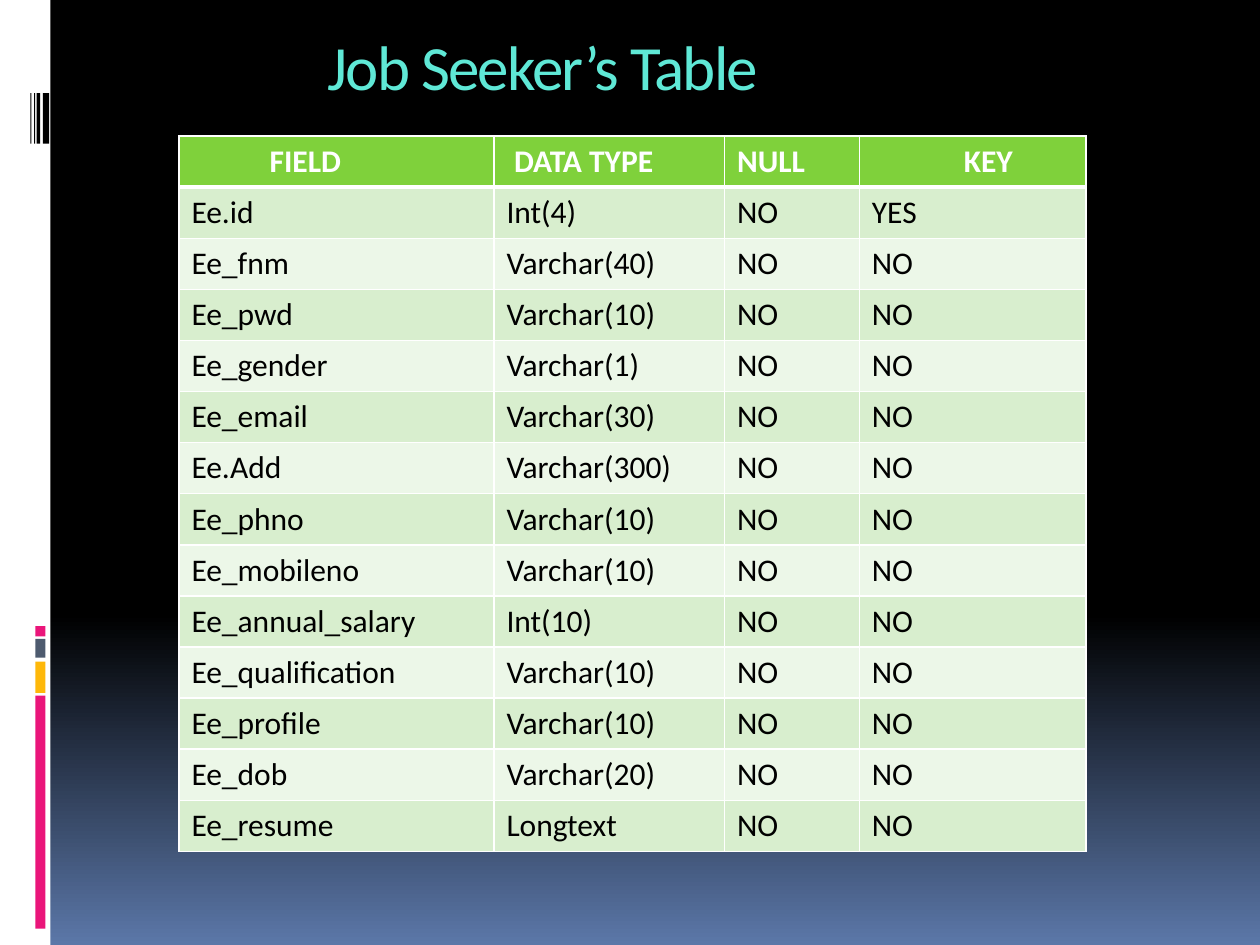
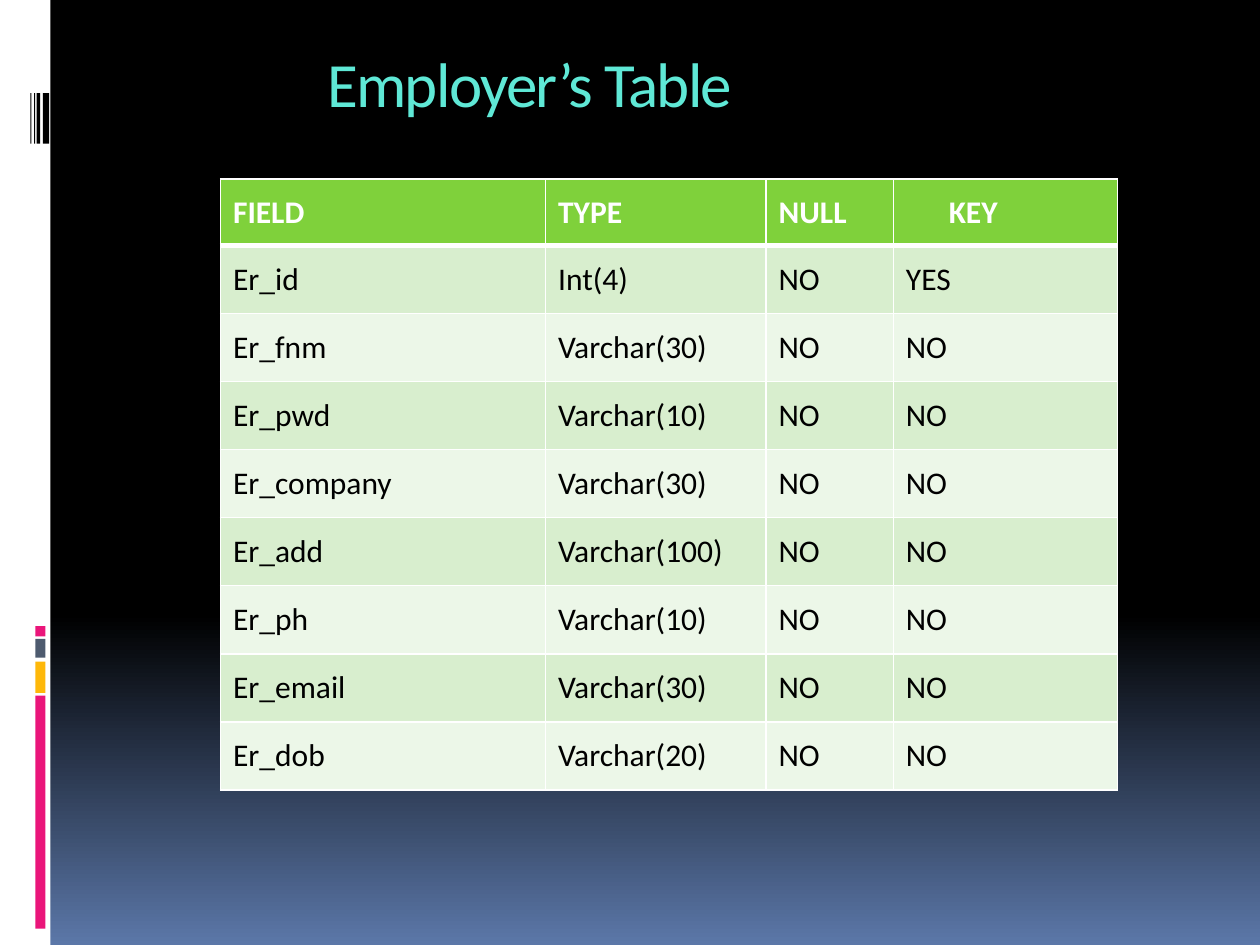
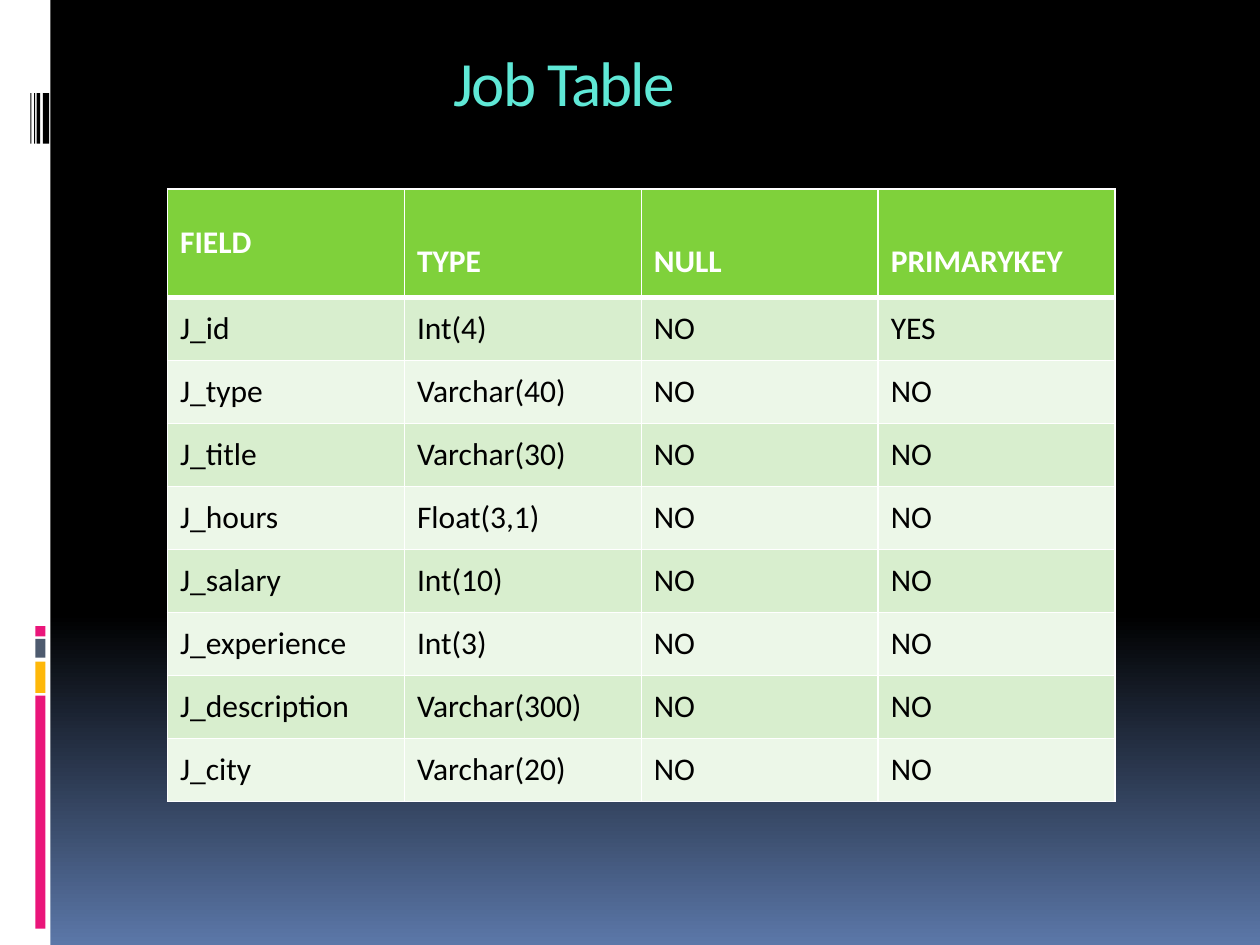
from copy import deepcopy

from lxml import etree
from pptx import Presentation
from pptx.dml.color import RGBColor
from pptx.enum.shapes import MSO_SHAPE
from pptx.enum.text import MSO_ANCHOR
from pptx.oxml.ns import qn
from pptx.util import Inches, Pt

RECT = MSO_SHAPE.RECTANGLE
TOP, MIDDLE = MSO_ANCHOR.TOP, MSO_ANCHOR.MIDDLE

WIDTH, HEIGHT = Inches(10), Inches(7.5)
CELL = WIDTH // 10
WHITE, BLACK, PINK, AMBER, SLATE = "FFFFFF", "000000", "EA157A", "FEB80A", "4E5B6F"
GREEN, BANDS = "7FD13B", ("D8EECE", "ECF7E8")
BACKGROUND = ((0, BLACK), (0.65, BLACK), (1, "5B77A8"))
TITLE = {"name": "Calibri", "size": Pt(36), "color": "5FE8D6"}
HEAD = {"name": "Calibri", "size": Pt(18), "color": WHITE, "bold": True}
BODY = {"name": "Calibri", "size": Pt(18), "color": BLACK, "bold": False}

COLOR_BARS = ((5.52, 1.85, PINK), (5.25, 0.25, AMBER), (5.07, 0.15, SLATE), (4.97, 0.08, PINK))
BARCODE = ((0.34, 0.05), (0.29, 0.03), (0.27, 0.01), (0.24, 0.01))

SEEKER_FIELDS = (
    ("Ee.id", "Int(4)"), ("Ee_fnm", "Varchar(40)"), ("Ee_pwd", "Varchar(10)"),
    ("Ee_gender", "Varchar(1)"), ("Ee_email", "Varchar(30)"), ("Ee.Add", "Varchar(300)"),
    ("Ee_phno", "Varchar(10)"), ("Ee_mobileno", "Varchar(10)"),
    ("Ee_annual_salary", "Int(10)"), ("Ee_qualification", "Varchar(10)"),
    ("Ee_profile", "Varchar(10)"), ("Ee_dob", "Varchar(20)"), ("Ee_resume", "Longtext"),
)
EMPLOYER_FIELDS = (
    ("Er_id", "Int(4)"), ("Er_fnm", "Varchar(30)"), ("Er_pwd", "Varchar(10)"),
    ("Er_company", "Varchar(30)"), ("Er_add", "Varchar(100)"), ("Er_ph", "Varchar(10)"),
    ("Er_email", "Varchar(30)"), ("Er_dob", "Varchar(20)"),
)
JOB_FIELDS = (
    ("J_id", "Int(4)"), ("J_type", "Varchar(40)"), ("J_title", "Varchar(30)"),
    ("J_hours", "Float(3,1)"), ("J_salary", "Int(10)"), ("J_experience", "Int(3)"),
    ("J_description", "Varchar(300)"), ("J_city", "Varchar(20)"),
)


def grid(n):
    """Return the length of n grid cells."""
    return round(n * CELL)


def rgb(value):
    """Return the colour of a hex string."""
    return RGBColor.from_string(value)


def write(tf, text, style, indent=0):
    """Write one styled paragraph, indented by grid cells."""
    p = tf.paragraphs[0]
    if indent:
        p._p.get_or_add_pPr().set("marL", str(grid(indent)))
    r = p.add_run()
    r.text = text
    for name, value in style.items():
        if name == "color":
            r.font.color.rgb = rgb(value)
        else:
            setattr(r.font, name, value)
    return r


def set_background(master):
    """Give the master its vertical gradient."""
    fill = master.background.fill
    fill.gradient()
    fill.gradient_angle = 270
    stops = master.element.find(".//" + qn("a:gsLst"))
    stops.insert(0, deepcopy(stops[0]))
    for stop, (position, color) in zip(fill.gradient_stops, BACKGROUND):
        stop.position = position
        stop.color.rgb = rgb(color)


def add_bar(slide, x, y, w, h, color):
    """Add a plain filled rectangle."""
    sp = slide.shapes.add_shape(RECT, *map(grid, (x, y, w, h)))
    sp.shadow.inherit = False
    sp.fill.solid()
    sp.fill.fore_color.rgb = rgb(color)
    sp.line.fill.background()


def add_side_band(slide):
    """Add the white band with its colour bars and barcode."""
    add_bar(slide, 0, 0, 0.4, 7.5, WHITE)
    for y, h, color in COLOR_BARS:
        add_bar(slide, 0.28, y, 0.08, h, color)
    for x, w in BARCODE:
        add_bar(slide, x, 0.74, w, 0.4, BLACK)


def add_title(slide, text, y, h, indent):
    """Add the slide title with tight letter spacing."""
    tf = slide.shapes.add_textbox(*map(grid, (0.5, y, 9, h))).text_frame
    tf.word_wrap = True
    tf.vertical_anchor = TOP
    write(tf, text, TITLE, indent)._r.get_or_add_rPr().set("spc", "-100")


def set_borders(cell, top, bottom):
    """Draw white borders, with the top and bottom widths in points."""
    tc_pr = cell._tc.get_or_add_tcPr()
    for i, (side, width) in enumerate((("L", 1), ("R", 1), ("T", top), ("B", bottom))):
        ln = etree.Element(qn("a:ln" + side), w=str(Pt(width)))
        fill = etree.SubElement(ln, qn("a:solidFill"))
        etree.SubElement(fill, qn("a:srgbClr"), val=WHITE)
        tc_pr.insert(i, ln)


def fill_cell(cell, text, style, color, indent=0, top=1, bottom=1):
    """Fill one table cell with text, colour and borders."""
    cell.vertical_anchor = MIDDLE
    cell.fill.solid()
    cell.fill.fore_color.rgb = rgb(color)
    write(cell.text_frame, text, style, indent)
    set_borders(cell, top, bottom)


def add_field_table(slide, x, y, widths, head_h, row_h, heads, fields, indents=(0,) * 4, drops=(0,) * 4):
    """Add a table of fields whose first field is the key."""
    n = len(fields) + 1
    size = sum(widths), head_h + row_h * len(fields)
    table = slide.shapes.add_table(n, len(widths), *map(grid, (x, y, *size))).table
    for column, w in zip(table.columns, widths):
        column.width = grid(w)
    for i, row in enumerate(table.rows):
        row.height = grid(row_h if i else head_h)
    for j, (text, indent, drop) in enumerate(zip(heads, indents, drops)):
        cell = table.cell(0, j)
        fill_cell(cell, text, HEAD, GREEN, indent, bottom=3)
        cell.margin_top = grid(0.05 + drop)
    for i, field in enumerate(fields):
        for j, text in enumerate((*field, "NO", "NO" if i else "YES")):
            fill_cell(table.cell(i + 1, j), text, BODY, BANDS[i % 2], top=1 if i else 3)


def add_slide(prs, title, title_y, title_h, indent):
    """Add a blank slide with the side band and a title."""
    slide = prs.slides.add_slide(prs.slide_layouts[6])
    add_side_band(slide)
    add_title(slide, title, title_y, title_h, indent)
    return slide


def main():
    """Build the three slides and save them."""
    prs = Presentation()
    prs.slide_width, prs.slide_height = WIDTH, HEIGHT
    set_background(prs.slide_master)

    slide = add_slide(prs, "Job Seeker’s Table", 0.17, 0.78, 2)
    add_field_table(slide, 1.42, 1.08, (2.5, 1.83, 1.07, 1.8), 5.68 / 14, 5.68 / 14,
                    ("FIELD", "DATA TYPE", "NULL", "KEY"), SEEKER_FIELDS,
                    indents=(0.62, 0.06, 0, 0.73))

    slide = add_slide(prs, "Employer’s Table", 0.3, 0.62, 2)
    add_field_table(slide, 1.75, 1.42, (2.58, 1.75, 1.01, 1.78), 0.53, 0.54,
                    ("FIELD", "TYPE", "NULL", "KEY"), EMPLOYER_FIELDS,
                    indents=(0, 0, 0, 0.34))

    slide = add_slide(prs, "Job Table", 0.3, 0.7, 3)
    add_field_table(slide, 1.33, 1.5, (1.88,) * 4, 0.86, 0.5,
                    ("FIELD", "TYPE", "NULL", "PRIMARYKEY"), JOB_FIELDS,
                    drops=(0, 0.3, 0.3, 0.3))

    prs.save("out.pptx")


if __name__ == "__main__":
    main()
